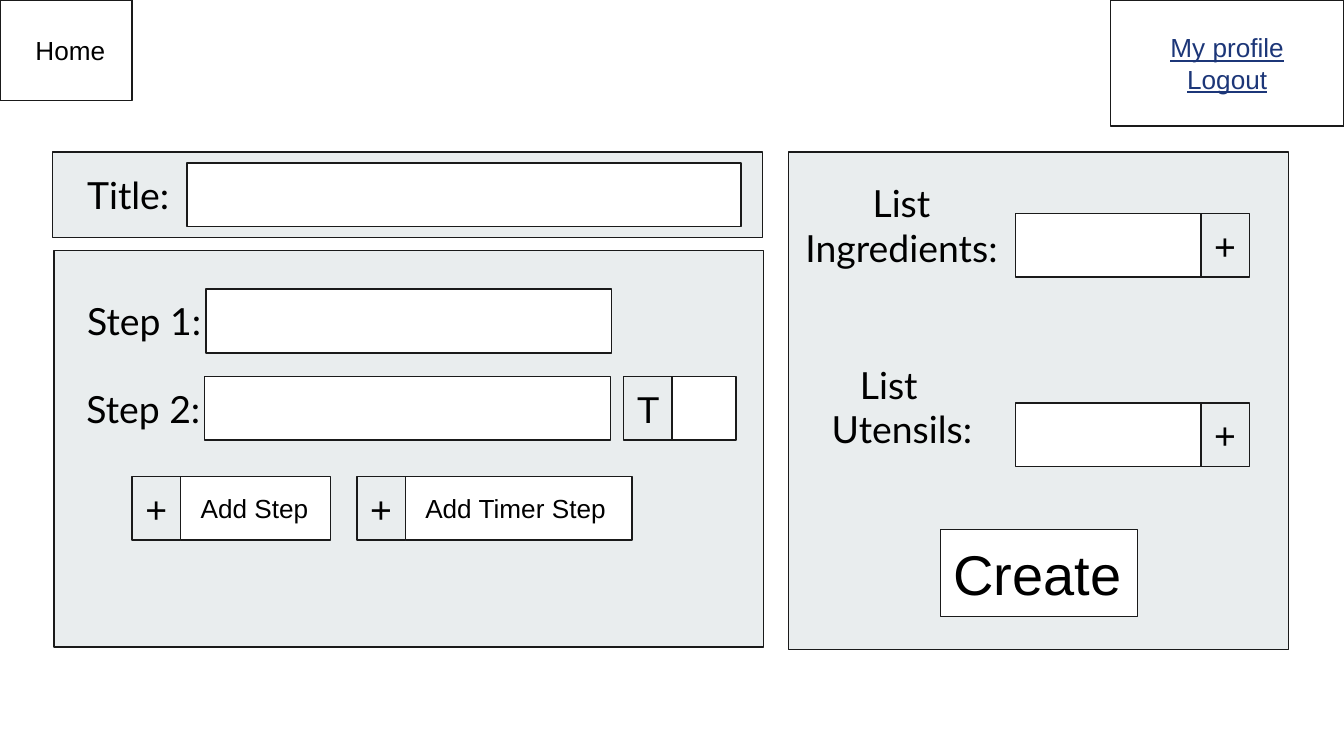
from pptx import Presentation
from pptx import util as u
from pptx.dml.color import RGBColor
from pptx.enum import shapes, text

WHITE = RGBColor(0xFF, 0xFF, 0xFF)
PANEL = RGBColor(0xE9, 0xED, 0xEE)
OUTLINE = RGBColor(0x1A, 0x1A, 0x1A)
BLACK = RGBColor(0, 0, 0)
LINK = RGBColor(0x1C, 0x36, 0x78)

deck = Presentation()
deck.slide_width = u.Inches(10)
deck.slide_height = deck.slide_width * 9 // 16
page = deck.slides.add_slide(deck.slide_layouts[6])

# Square grid: 100 columns across the slide, rows of the same size
CELL = deck.slide_width / 100
FIELD_HIGH = 4.74
BUTTON_WIDE = 3.6


def write(box, lines, size, font="Arial", color=BLACK, indent=0,
          align=text.PP_ALIGN.LEFT, anchor=text.MSO_ANCHOR.MIDDLE):
    """Fill a box with one paragraph per line; indent is in grid columns."""
    frame = box.text_frame
    frame.word_wrap = True
    frame.vertical_anchor = anchor
    frame.margin_left = frame.margin_right = u.Inches(0.1)
    frame.margin_top = frame.margin_bottom = u.Inches(0.1)
    for number, line in enumerate(lines):
        para = frame.add_paragraph() if number else frame.paragraphs[0]
        para.alignment = align
        if indent:
            properties = para._p.get_or_add_pPr()
            properties.set("marL", "0")
            properties.set("indent", str(round(indent * CELL)))
        span = para.add_run()
        span.text = line
        span.font.size = u.Pt(size)
        span.font.name = font
        span.font.color.rgb = color
        span.font.underline = True if color == LINK else None


def rectangle(column, row, wide, high=FIELD_HIGH, fill=WHITE):
    place = [round(n * CELL) for n in (column, row, wide, high)]
    box = page.shapes.add_shape(shapes.MSO_SHAPE.RECTANGLE, *place)
    box.shadow.inherit = False
    box.fill.solid()
    box.fill.fore_color.rgb = fill
    box.line.color.rgb = OUTLINE
    box.line.width = u.Pt(0.75)
    return box


# Navigation
write(rectangle(0, 0, 9.84, 7.5), ["Home"], 14, indent=1.65)
write(rectangle(82.62, 0, 17.38, 9.38), ["My profile", "Logout"], 14,
      color=LINK, align=text.PP_ALIGN.CENTER)

# Panels: lists, steps, title
for panel in [(58.66, 11.32, 37.2, 37.04), (4.02, 18.64, 52.8, 29.5),
              (3.92, 11.32, 52.8, 6.36)]:
    rectangle(*panel, fill=PANEL)

# Entry fields: title, steps, timer, ingredients, utensils
for field in [(13.9, 12.14, 41.24), (15.32, 21.52, 30.2), (15.22, 28.02, 30.2),
              (50, 28.02, 4.78), (75.56, 15.88, 13.8), (75.56, 30, 13.8)]:
    rectangle(*field)

# Small buttons
for column, row, sign in [(89.36, 15.88, "+"), (89.36, 30, "+"), (9.84, 35.46, "+"),
                          (26.56, 35.46, "+"), (46.4, 28.02, "T")]:
    write(rectangle(column, row, BUTTON_WIDE, fill=PANEL), [sign], 20)

# Captioned buttons
for column, wide, caption in [(13.44, 11.16, "Add Step"),
                              (30.16, 16.88, "Add Timer Step")]:
    write(rectangle(column, 35.46, wide), [caption], 14, indent=0.5)
write(rectangle(69.96, 39.4, 14.66, 6.48), ["Create"], 30)

# Labels
for column, row, wide, high, indent, label in [
    (5.5, 11.8, 8.4, 5.4, 0, "Title:"),
    (5.5, 21.2, 11.2, 5.4, 0, "Step 1:"),
    (5.44, 27.7, 11.2, 5.4, 0, "Step 2:"),
    (58.94, 12.4, 16.9, 8.8, 5, "List Ingredients:"),
    (60.9, 25.92, 13, 8.8, 2.1, "List Utensils:"),
]:
    place = [round(n * CELL) for n in (column, row, wide, high)]
    write(page.shapes.add_textbox(*place), [label], 20, font="Lato",
          indent=indent, anchor=text.MSO_ANCHOR.TOP)

deck.save("out.pptx")
